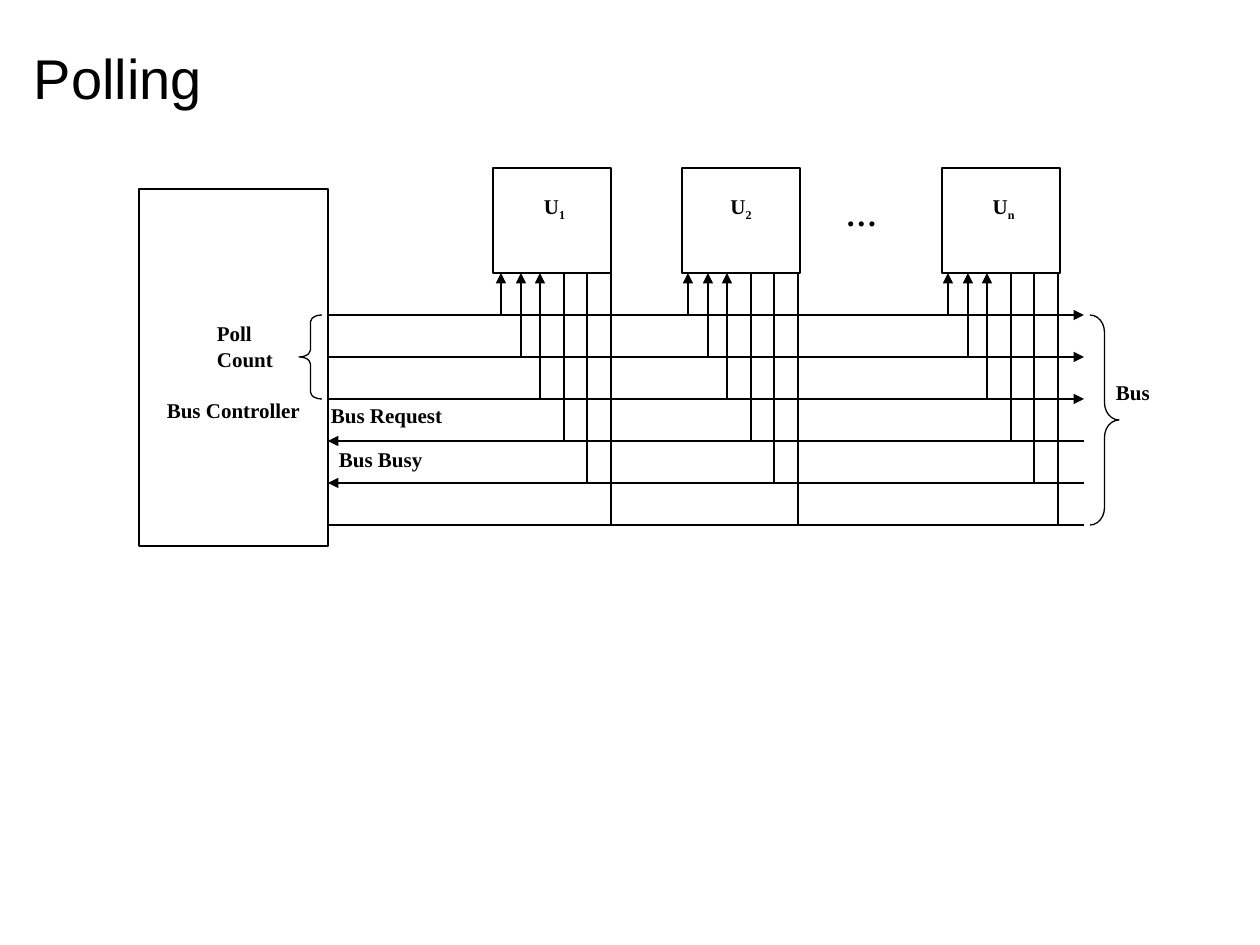
from lxml import etree
from pptx import Presentation
from pptx import util as u
from pptx.dml.color import RGBColor
from pptx.enum import shapes, text
from pptx.oxml.ns import qn

INK = {"line": "000000", "fill": "FFFFFF", "text": "000000"}
SERIF = "Times New Roman"
LEFT, MID = text.PP_ALIGN.LEFT, text.PP_ALIGN.CENTER
GAP = 42
STUBS = (0, 20, 39, 63, 86, 110)


def px(n):
    """Turn pixels into EMU."""
    return u.Emu(round(n * 914400 / 126))


def hue(name):
    """Look up a colour."""
    return RGBColor.from_string(INK[name])


def write(shape, lines, size=12, align=LEFT, left=13, top=6, font=SERIF):
    """Fill a shape with paragraphs, each a string or a (base, subscript) pair."""
    frame = shape.text_frame
    frame.word_wrap = True
    frame.vertical_anchor = text.MSO_ANCHOR.TOP
    frame.margin_left, frame.margin_right = px(left), px(13)
    frame.margin_top, frame.margin_bottom = px(top), px(6)
    for i, line in enumerate(lines):
        para = frame.add_paragraph() if i else frame.paragraphs[0]
        para.alignment = align
        para.font.size, para.font.name = u.Pt(size), font
        para.font.bold = font == SERIF
        para.font.color.rgb = hue("text")
        base, sub = (line, "") if isinstance(line, str) else line
        para.add_run().text = base
        if sub:
            run = para.add_run()
            run.text = sub
            run.font._element.set("baseline", "-25000")


def label(slide, box, lines, **style):
    """Add a text box."""
    write(slide.shapes.add_textbox(*map(px, box)), lines, **style)


def form(slide, kind, box, fill=True):
    """Add an outlined preset shape."""
    shape = slide.shapes.add_shape(kind, *map(px, box))
    shape.shadow.inherit = False
    if fill:
        shape.fill.solid()
        shape.fill.fore_color.rgb = hue("fill")
    else:
        shape.fill.background()
    shape.line.color.rgb = hue("line")
    shape.line.width = u.Pt(0.75)
    return shape


def wire(slide, x1, y1, x2, y2, tip=None):
    """Draw a line with an arrowhead at its headEnd or tailEnd."""
    line = slide.shapes.add_connector(
        shapes.MSO_CONNECTOR.STRAIGHT, px(x1), px(y1), px(x2), px(y2))
    line.line.color.rgb = hue("line")
    line.line.width = u.Pt(0.75)
    if tip:
        etree.SubElement(line.line._get_or_add_ln(), qn("a:" + tip), type="triangle")
    etree.SubElement(line._element.spPr, qn("a:effectLst"))


def brace(slide, kind, box, curve):
    """Draw a curly brace."""
    shape = form(slide, kind, box, fill=False)
    shape.adjustments[0] = curve


def master(slide, x, y, w, h):
    """Draw the bus controller."""
    shape = form(slide, shapes.MSO_SHAPE.RECTANGLE, (x, y, w, h))
    write(shape, ["Bus Controller"], align=MID, top=209)


def bus(slide, x, y, w, h):
    """Draw the six bus lines with their braces and labels."""
    tips = ["tailEnd"] * 3 + ["headEnd"] * 2 + [None]
    for i, tip in enumerate(tips):
        wire(slide, x, y + i * GAP, x + w, y + i * GAP, tip)
    brace(slide, shapes.MSO_SHAPE.LEFT_BRACE, (x - 29, y, 23, 2 * GAP), 0.3)
    brace(slide, shapes.MSO_SHAPE.RIGHT_BRACE, (x + w + 6, y, 29, h), 0.6)
    label(slide, (x - 124, y, 165, 105), ["Poll", "Count"])
    label(slide, (x - 10, y + 82, 214, 63), ["Bus Request"])
    label(slide, (x - 2, y + 126, 214, 63), ["Bus Busy"])
    label(slide, (x + w + 19, y + 59, 105, 63), ["Bus"])


def unit(slide, x, y, w, h, sub, first, left):
    """Draw a unit and its six stubs down to the bus."""
    shape = form(slide, shapes.MSO_SHAPE.RECTANGLE, (x, y, w, h))
    write(shape, [("U", sub)], align=MID, left=left, top=25)
    foot = y + h
    for i, step in enumerate(STUBS):
        at = x + first + step
        wire(slide, at, foot, at, foot + (i + 1) * GAP, "headEnd" if i < 3 else None)


def main():
    """Build the slide."""
    deck = Presentation()
    deck.slide_width, deck.slide_height = px(1260), px(945)
    slide = deck.slides.add_slide(deck.slide_layouts[6])
    label(slide, (21, 32, 1207, 892), ["Polling"], size=32, top=12, font="Arial")
    master(slide, 139, 189, 189, 357)
    for x, sub, first, left in ((493, "1", 8, 18), (682, "2", 6, 13), (942, "n", 6, 18)):
        unit(slide, x, 168, 118, 105, sub, first, left)
    label(slide, (814, 189, 95, 84), ["…"], size=18, align=MID)
    bus(slide, 328, 315, 756, 5 * GAP)
    deck.save("out.pptx")


if __name__ == "__main__":
    main()
